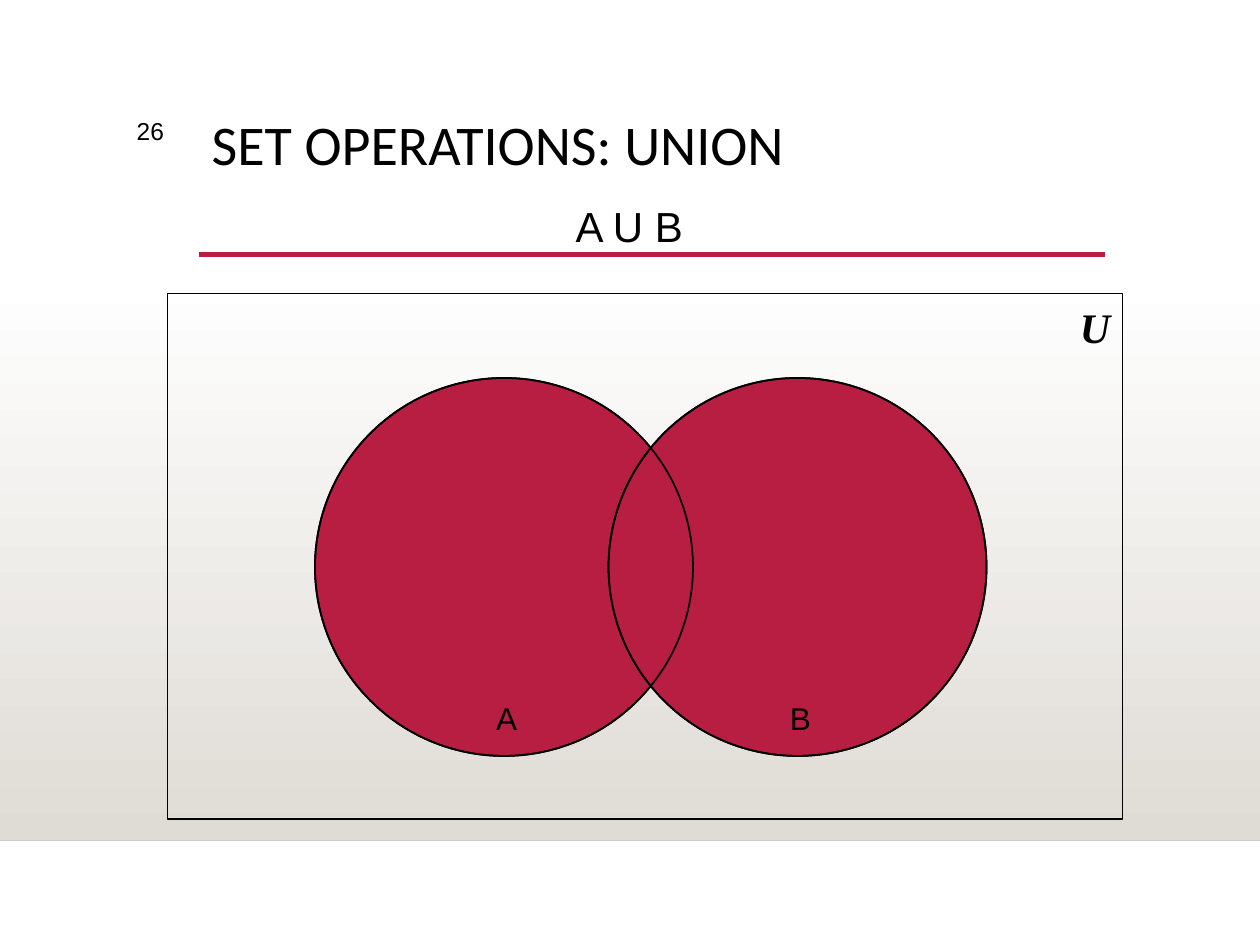
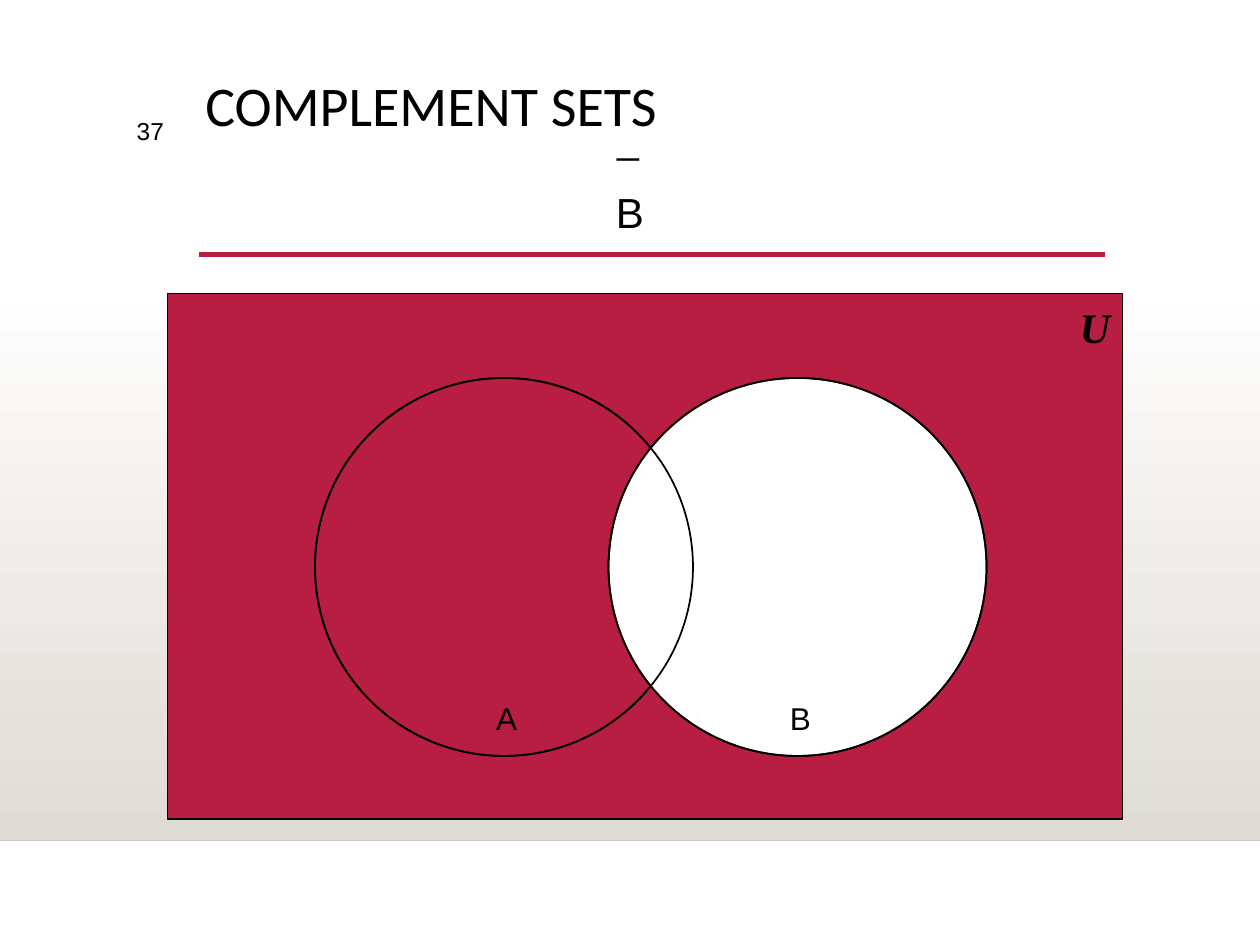
from dataclasses import dataclass
from pptx import Presentation
from pptx.dml.color import RGBColor
from pptx.enum.shapes import MSO_CONNECTOR, MSO_SHAPE
from pptx.enum.text import MSO_ANCHOR, PP_ALIGN
from pptx.oxml.ns import qn
from pptx.util import Inches, Pt
from lxml import etree

RECT, OVAL = MSO_SHAPE.RECTANGLE, MSO_SHAPE.OVAL
LINE, TOP = MSO_CONNECTOR.STRAIGHT, MSO_ANCHOR.TOP
LEFT, MID, RIGHT = PP_ALIGN.LEFT, PP_ALIGN.CENTER, PP_ALIGN.RIGHT


@dataclass(frozen=True)
class Theme:
    red: str = "B71E42"
    ink: str = "000000"
    white: str = "FFFFFF"
    sand: str = "DFDBD5"
    edge: str = "CCCCCC"
    head: str = "Calibri"
    body: str = "Arial"
    serif: str = "Times New Roman"
    title: float = 32
    sign: float = 24
    bar: float = 22.4
    label: float = 18
    number: float = 14


T = Theme()

# Content: marks are (text, box, size, line spacing)
SLIDES = [
    {"title": "SET OPERATIONS: UNION", "at": (1.58, 0.88), "number": "26",
     "frame": None, "sets": {"A": T.red, "B": T.red},
     "marks": [("A U B", (4.46, 1.54, 1.07, 0.5), T.sign, 1.0)]},
    {"title": "COMPLEMENT SETS", "at": (1.53, 0.57), "number": "37",
     "frame": T.red, "sets": {"A": T.red, "B": T.white},
     "marks": [("B", (4.58, 1.43, 0.84, 0.5), T.sign, 1.0),
               ("_", (4.8, 0.93, 0.36, 0.5), T.bar, 0.8)]},
]

# Grid in inches
WIDE, HIGH = 10, 7.5
FLOOR, BAND = 6.67, 2.2
RULE = (1.58, 8.77, 2.02)
FRAME = (1.33, 2.33, 7.58, 4.17)
SIZE, STEP, FIRST, CREST = 3, 2.33, 2.5, 3
TAG = (0.36, 0.4)


def rgb(code):
    return RGBColor.from_string(code)


def style(frame, text, size, font=T.body, align=MID, space=1.0, bold=None):
    frame.text = text
    frame.vertical_anchor = TOP
    para = frame.paragraphs[0]
    para.alignment, para.line_spacing = align, space
    face = para.font
    face.name, face.size, face.color.rgb = font, Pt(size), rgb(T.ink)
    face.bold = face.italic = bold


def write(slide, text, box, size, wrap=False, **look):
    frame = slide.shapes.add_textbox(*map(Inches, box)).text_frame
    frame.word_wrap = wrap
    style(frame, text, size, **look)


def draw(slide, kind, box, fill=None):
    shape = slide.shapes.add_shape(kind, *map(Inches, box))
    shape.shadow.inherit = False
    if fill:
        shape.fill.solid()
        shape.fill.fore_color.rgb = rgb(fill)
    else:
        shape.fill.background()
    shape.line.color.rgb, shape.line.width = rgb(T.ink), Pt(1)
    return shape


def rule(slide, left, right, y, color, width):
    line = slide.shapes.add_connector(
        LINE, *map(Inches, (left, y, right, y)))
    line.line.color.rgb, line.line.width = rgb(color), Pt(width)
    etree.SubElement(line.element.spPr, qn("a:effectLst"))


def backdrop(slide):
    band = draw(slide, RECT, (0, BAND, WIDE, FLOOR - BAND))
    band.line.fill.background()
    band.fill.gradient()
    band.fill.gradient_angle = 270
    for stop, color in zip(band.fill.gradient_stops, (T.white, T.sand)):
        stop.color.rgb = rgb(color)
    rule(slide, 0, WIDE, FLOOR, T.edge, 1)
    rule(slide, *RULE, T.red, 2.5)


def heading(slide, item):
    title = slide.shapes.title
    title.left, title.top = map(Inches, item["at"])
    title.width, title.height = Inches(7.19), Inches(1.15)
    style(title.text_frame, item["title"], T.title, T.head, LEFT, 0.9)
    write(slide, item["number"], (0.53, 0.87, 0.87, 0.55), T.number,
          wrap=True, align=RIGHT)


def venn(slide, item):
    draw(slide, RECT, FRAME, item["frame"])
    write(slide, "U", (8.47, 2.34, 0.44, 0.5), T.sign, font=T.serif, bold=True)
    sets = item["sets"]
    spots = [FIRST + STEP * i for i in range(len(sets))]
    # Fills first, then outlines so that both edges show in the overlap
    for fills in (sets.values(), [None] * len(sets)):
        for x, fill in zip(spots, fills):
            draw(slide, OVAL, (x, CREST, SIZE, SIZE), fill)
    for x, name in zip(spots, sets):
        write(slide, name, (x + 1.34, 5.5, *TAG), T.label)


def main():
    deck = Presentation()
    deck.slide_width, deck.slide_height = Inches(WIDE), Inches(HIGH)
    for item in SLIDES:
        slide = deck.slides.add_slide(deck.slide_layouts[5])
        backdrop(slide)
        heading(slide, item)
        venn(slide, item)
        for text, box, size, space in item["marks"]:
            write(slide, text, box, size, space=space)
    deck.save("out.pptx")


if __name__ == "__main__":
    main()
